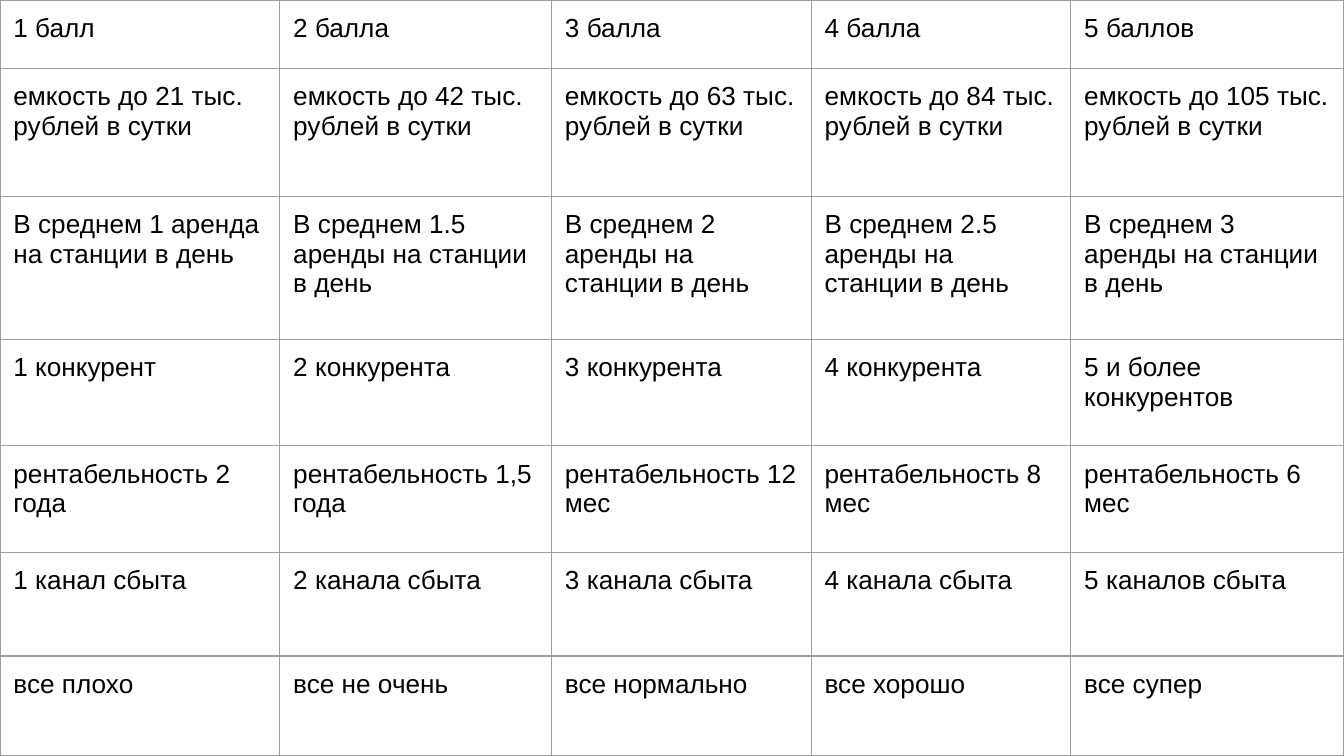
from dataclasses import dataclass

import pptx
import pptx.dml.color
import pptx.oxml
import pptx.oxml.ns
import pptx.util

SLIDE_W = 10
SLIDE_H = SLIDE_W * 9 / 16
FONT, SIZE, INSET = "Arial", 14, 0.1
TEXT, BORDER, BORDER_PT = "000000", "9E9E9E", 0.75
COLUMN_WEIGHTS = (2.08, 2.02, 1.93, 1.93, 2.03)


@dataclass(frozen=True)
class Criterion:
    weight: float
    scores: tuple[str, ...]


CRITERIA = (
    Criterion(0.51, ("1 балл", "2 балла", "3 балла", "4 балла", "5 баллов")),
    Criterion(0.95, tuple(
        f"емкость до {21 * n} тыс. рублей в сутки" for n in range(1, 6))),
    Criterion(1.06, tuple(
        f"В среднем {rentals} на станции в день"
        for rentals in ("1 аренда", "1.5 аренды", "2 аренды", "2.5 аренды", "3 аренды"))),
    Criterion(0.79, ("1 конкурент", "2 конкурента", "3 конкурента",
                     "4 конкурента", "5 и более конкурентов")),
    Criterion(0.79, tuple(
        f"рентабельность {term}"
        for term in ("2 года", "1,5 года", "12 мес", "8 мес", "6 мес"))),
    Criterion(0.77, ("1 канал сбыта", "2 канала сбыта", "3 канала сбыта",
                     "4 канала сбыта", "5 каналов сбыта")),
    Criterion(0.74, ("все плохо", "все не очень", "все нормально",
                     "все хорошо", "все супер")),
)


def rgb(value: str) -> pptx.dml.color.RGBColor:
    return pptx.dml.color.RGBColor.from_string(value)


def shares(weights: tuple[float, ...], length: float) -> list[int]:
    return [pptx.util.Inches(length * w / sum(weights)) for w in weights]


def draw_borders(cell) -> None:
    tc_pr = cell._tc.get_or_add_tcPr()
    for side in "LRTB":
        tc_pr.append(pptx.oxml.parse_xml(
            f'<a:ln{side} {pptx.oxml.ns.nsdecls("a")} w="{pptx.util.Pt(BORDER_PT)}">'
            f'<a:solidFill><a:srgbClr val="{BORDER}"/></a:solidFill>'
            f'<a:prstDash val="solid"/></a:ln{side}>'))


def draw_cell(cell, text: str) -> None:
    inset = pptx.util.Inches(INSET)
    cell.margin_left = cell.margin_right = inset
    cell.margin_top = cell.margin_bottom = inset
    draw_borders(cell)
    cell.fill.background()
    r = cell.text_frame.paragraphs[0].add_run()
    r.text = text
    r.font.name = FONT
    r.font.size = pptx.util.Pt(SIZE)
    r.font.color.rgb = rgb(TEXT)


def draw_score_table(s, criteria: tuple[Criterion, ...]) -> None:
    widths = shares(COLUMN_WEIGHTS, SLIDE_W)
    heights = shares(tuple(c.weight for c in criteria), SLIDE_H)
    table = s.shapes.add_table(
        len(heights), len(widths), 0, 0, sum(widths), sum(heights)).table
    table.first_row = table.horz_banding = False
    for column, width in zip(table.columns, widths):
        column.width = width
    for row, height, criterion in zip(table.rows, heights, criteria):
        row.height = height
        for cell, text in zip(row.cells, criterion.scores):
            draw_cell(cell, text)


def main() -> None:
    prs = pptx.Presentation()
    prs.slide_width = pptx.util.Inches(SLIDE_W)
    prs.slide_height = pptx.util.Inches(SLIDE_H)
    s = prs.slides.add_slide(prs.slide_layouts[6])
    draw_score_table(s, CRITERIA)
    prs.save("out.pptx")


if __name__ == "__main__":
    main()
